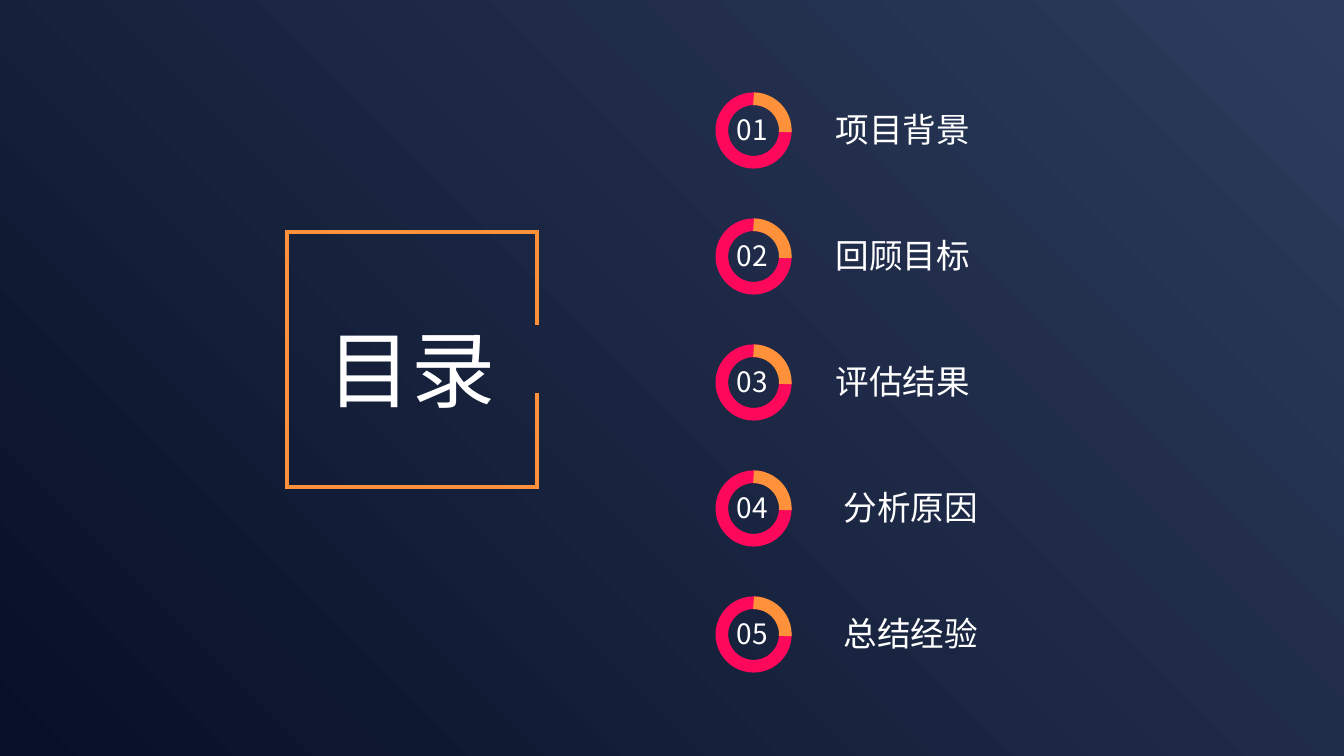
from typing import Any, NamedTuple

from lxml import etree
from pptx import Presentation, util as u
from pptx.dml.color import RGBColor
from pptx.enum import shapes, text
from pptx.oxml import ns

HUES = {"pink": "FE085B", "gold": "FF913A", "white": "FFFFFF",
        "light": "2D3C5D", "dark": "081027"}
CJK = "Noto Sans CJK SC"
FRAME = {"word_wrap": False, "auto_size": text.MSO_AUTO_SIZE.SHAPE_TO_FIT_TEXT,
         "vertical_anchor": text.MSO_ANCHOR.TOP}


class Item(NamedTuple):
    label: str
    left: float


class Arc(NamedTuple):
    hue: str
    start: float
    end: float


class Edge(NamedTuple):
    x1: float
    y1: float
    x2: float
    y2: float


ITEMS = [Item("项目背景", 8.19), Item("回顾目标", 8.19), Item("评估结果", 8.19),
         Item("分析原因", 8.27), Item("总结经验", 8.27)]
ARCS = [Arc("pink", 358.3, 287.7), Arc("gold", 270, 2.8)]
EDGES = [Edge(2.83, 4.83, 5.35, 4.83), Edge(2.85, 4.84, 2.85, 2.29),
         Edge(5.35, 2.3, 2.83, 2.3), Edge(5.33, 4.84, 5.33, 3.9),
         Edge(5.33, 3.22, 5.33, 2.28)]
TOP, STEP, RING = 0.98, 1.25, 0.63


def rgb(hue: str) -> RGBColor:
    return RGBColor.from_string(HUES[hue])


def apply(obj: Any, form: dict[str, Any]) -> None:
    for name, value in form.items():
        setattr(obj, name, value)


def write(shape: Any, words: str, size: float, face: str) -> None:
    frame = shape.text_frame
    apply(frame, FRAME)
    run = frame.paragraphs[0].add_run()
    run.text = words
    apply(run.font, {"size": u.Pt(size), "name": face})
    run.font.color.rgb = rgb("white")
    east = etree.SubElement(run._r.get_or_add_rPr(), ns.qn("a:ea"))
    east.set("typeface", CJK)


def label(x: float, y: float, w: float, h: float, words: str,
          size: float, face: str) -> None:
    box = slide.shapes.add_textbox(*map(u.Inches, (x, y, w, h)))
    write(box, words, size, face)


def ring(y: float) -> None:
    for arc in ARCS:
        shape = slide.shapes.add_shape(
            shapes.MSO_SHAPE.ARC, *map(u.Inches, (7.16, y, RING, RING)))
        # Arc angles are stored in 60000ths of a degree
        for i, angle in enumerate((arc.start, arc.end)):
            shape.adjustments[i] = angle * 0.6
        shape.shadow.inherit = False
        shape.fill.background()
        shape.line.width = u.Pt(9)
        shape.line.color.rgb = rgb(arc.hue)


def side(edge: Edge) -> None:
    line = slide.shapes.add_connector(
        shapes.MSO_CONNECTOR.STRAIGHT, *map(u.Inches, edge))
    line.line.width = u.Pt(3)
    line.line.color.rgb = rgb("gold")
    etree.SubElement(line._element.spPr, ns.qn("a:effectLst"))


deck = Presentation()
apply(deck, {"slide_width": u.Inches(13.33), "slide_height": u.Inches(7.5)})
slide = deck.slides.add_slide(deck.slide_layouts[5])

# Background
fill = slide.background.fill
fill.gradient()
fill.gradient_angle = 225
for stop, hue in zip(fill.gradient_stops, ("light", "dark")):
    stop.color.rgb = rgb(hue)

# Title in its open square
title = slide.shapes.title
apply(title, {"left": u.Inches(3.15), "top": u.Inches(2.6),
              "width": u.Inches(1.87), "height": u.Inches(1.61)})
write(title, "目录", 60, "Arial")
apply(title.text_frame.paragraphs[0],
      {"alignment": text.PP_ALIGN.CENTER, "line_spacing": 1.5})
for edge in EDGES:
    side(edge)

# Numbered contents
for row, item in enumerate(ITEMS):
    y = TOP + row * STEP
    ring(y)
    label(7.21, y + 0.09, 0.53, 0.44, f"{row + 1:02}", 20, CJK)
    label(item.left, y + 0.05, 1.53, 0.5, item.label, 24, "Arial")

deck.save("out.pptx")
